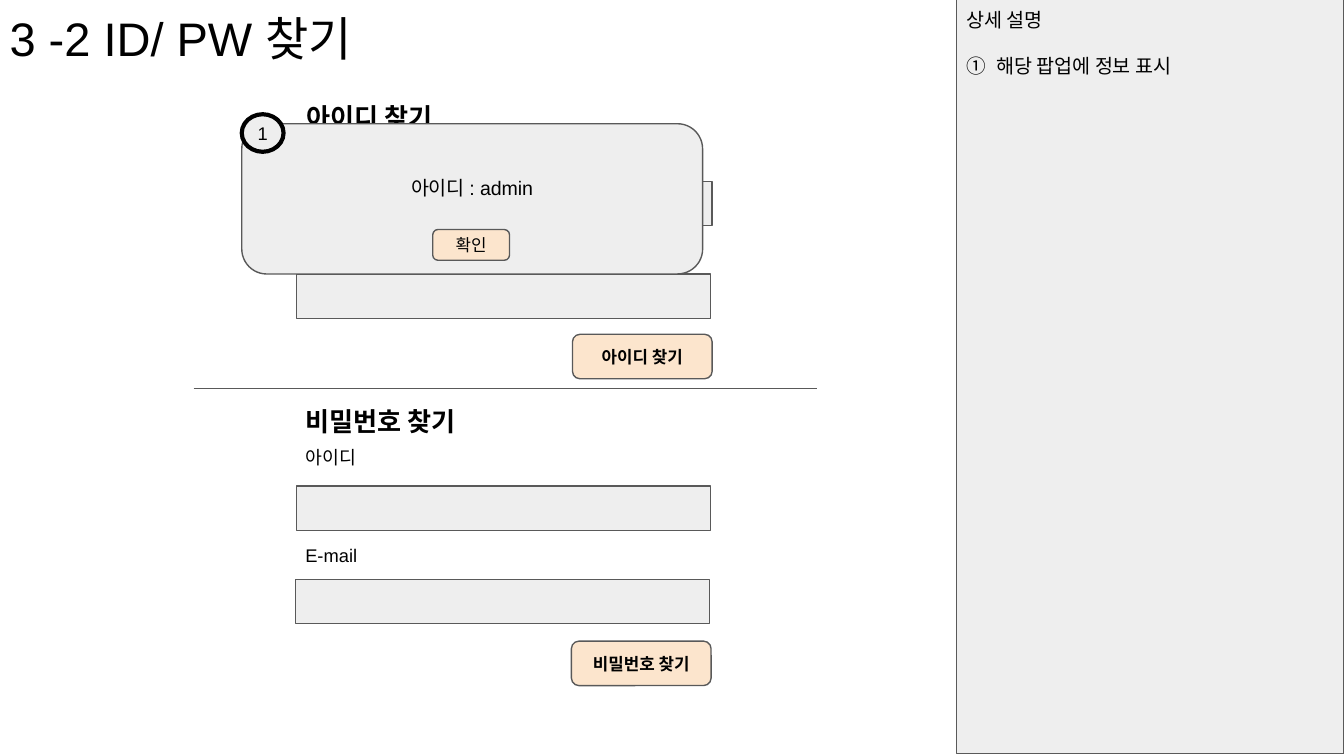
from lxml import etree
from pptx import Presentation
from pptx.dml.color import RGBColor
from pptx.enum.shapes import MSO_CONNECTOR, MSO_SHAPE
from pptx.enum.text import MSO_ANCHOR, MSO_AUTO_SIZE, PP_ALIGN
from pptx.oxml.ns import qn
from pptx.util import Cm, Pt

RECT, ROUND, OVAL = MSO_SHAPE.RECTANGLE, MSO_SHAPE.ROUNDED_RECTANGLE, MSO_SHAPE.OVAL
LEFT, CENTER = PP_ALIGN.LEFT, PP_ALIGN.CENTER
TOP, MIDDLE = MSO_ANCHOR.TOP, MSO_ANCHOR.MIDDLE
STRAIGHT = MSO_CONNECTOR.STRAIGHT

BLACK = RGBColor(0x00, 0x00, 0x00)
DARK = RGBColor(0x59, 0x59, 0x59)
GRAY = RGBColor(0xEE, 0xEE, 0xEE)
PEACH = RGBColor(0xFC, 0xE5, 0xCD)
INSET = 0.18

# Content: all lengths in cm
TITLE = "3 -2 ID/ PW 찾기"
NOTES = ["상세 설명", "①\t해당 팝업에 정보 표시"]
ROW = 0.84
LABELS = [  # text, left, top, width, size, bold
    ("아이디 찾기", 5.61, 1.73, 3.18, 14, True),
    ("비밀번호 찾기", 5.59, 7.49, 3.94, 14, True),
    ("아이디", 5.59, 8.26, 3.18, 9.8, False),
    ("E-mail", 5.59, 10.11, 3.18, 9.8, False),
]
FIELDS = [(5.64, 3.43), (5.61, 5.18), (5.61, 9.19), (5.59, 10.95)]
BUTTONS = [("아이디 찾기", 10.82, 6.32), ("비밀번호 찾기", 10.8, 12.12)]
RULE = (3.66, 7.34, 15.44, 7.34)

deck = Presentation()
deck.slide_width, deck.slide_height = Cm(25.4), Cm(14.29)
slide = deck.slides.add_slide(deck.slide_layouts[5])
shapes = slide.shapes


def write(shape, lines, size, bold=False, align=LEFT, anchor=TOP, low=INSET):
    frame = shape.text_frame
    form = {
        "word_wrap": True, "auto_size": MSO_AUTO_SIZE.NONE,
        "vertical_anchor": anchor, "margin_left": Cm(INSET),
        "margin_right": Cm(INSET), "margin_top": Cm(INSET),
        "margin_bottom": Cm(low),
    }
    for name, value in form.items():
        setattr(frame, name, value)
    frame.text = "\n".join(lines)
    for para in frame.paragraphs:
        para.alignment = align
        for run in para.runs:
            face = {"name": "Arial", "size": Pt(size), "bold": bold}
            for name, value in face.items():
                setattr(run.font, name, value)
            run.font.color.rgb = BLACK


def draw(kind, box, fill=GRAY, line=DARK, width=0.75):
    shape = shapes.add_shape(kind, *map(Cm, box))
    shape.shadow.inherit = False
    shape.fill.solid()
    shape.fill.fore_color.rgb = fill
    shape.line.color.rgb = line
    shape.line.width = Pt(width)
    return shape


# Title
title = shapes.title
title.left, title.top, title.width, title.height = map(Cm, (0, 0, 16.03, 1.12))
write(title, [TITLE], 25.2)

# Both forms
for text, left, top, width, size, bold in LABELS:
    label = shapes.add_textbox(*map(Cm, (left, top, width, ROW)))
    write(label, [text], size, bold)
for left, top in FIELDS:
    draw(RECT, (left, top, 7.82, ROW))
for text, left, top in BUTTONS:
    button = draw(ROUND, (left, top, 2.64, ROW), PEACH)
    write(button, [text], 9, True, CENTER, MIDDLE)

# Divider
rule = shapes.add_connector(STRAIGHT, *map(Cm, RULE))
rule.line.color.rgb = DARK
rule.line.width = Pt(0.75)
etree.SubElement(rule.element.spPr, qn("a:effectLst"))

# Side notes with a hanging indent for the numbered one
side = draw(RECT, (18.08, -0.03, 7.32, 14.27))
write(side, NOTES, 10.5)
note = side.text_frame.paragraphs[1]
note.space_before = Pt(12)
props = note._p.get_or_add_pPr()
props.set("marL", str(Cm(0.58)))
props.set("indent", str(-Cm(0.58)))

# Popup, its button and the number badge
popup = draw(ROUND, (4.57, 2.34, 8.71, 2.84))
write(popup, ["아이디 : admin"], 10.5, align=CENTER, anchor=MIDDLE, low=0.6)
okay = draw(ROUND, (8.18, 4.34, 1.45, 0.58), PEACH)
write(okay, ["확인"], 9, align=CENTER, anchor=MIDDLE)
badge = draw(OVAL, (4.57, 2.16, 0.79, 0.71), line=BLACK, width=2.25)
write(badge, ["1"], 9.8, align=CENTER, anchor=MIDDLE)

deck.save("out.pptx")
